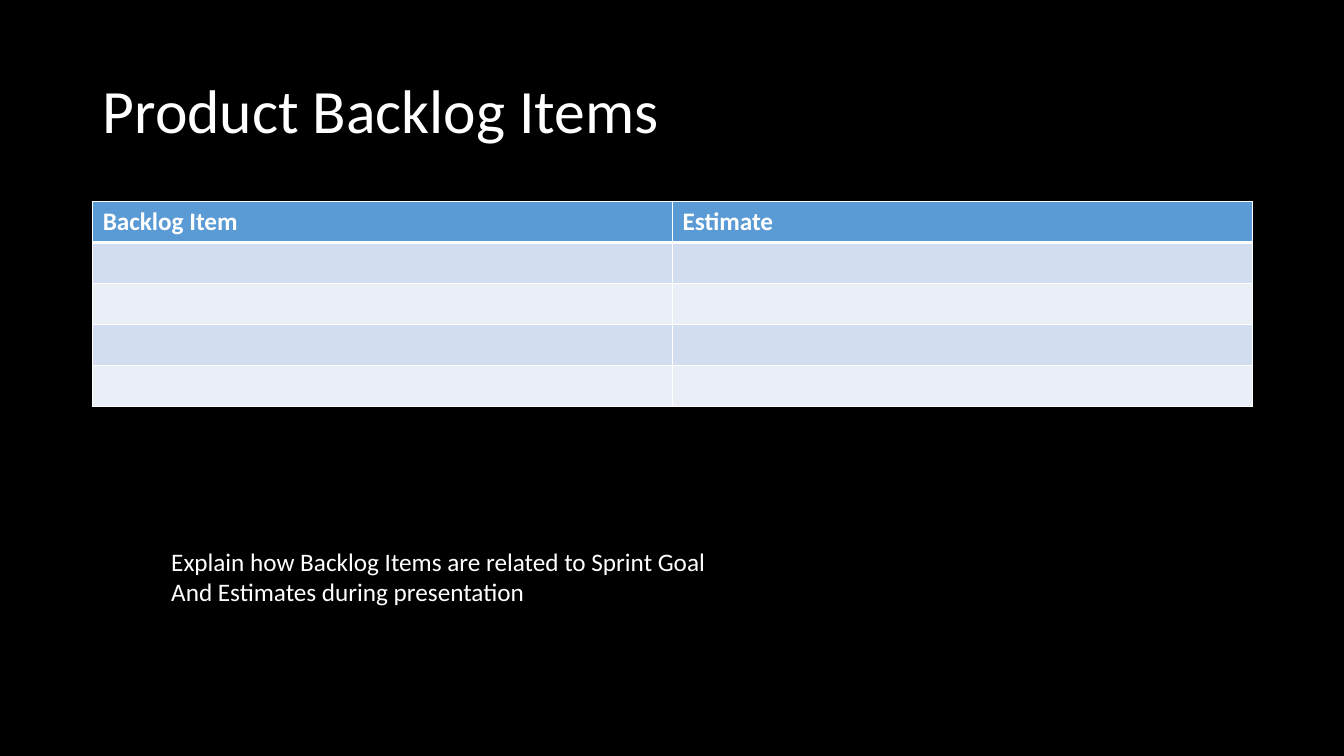
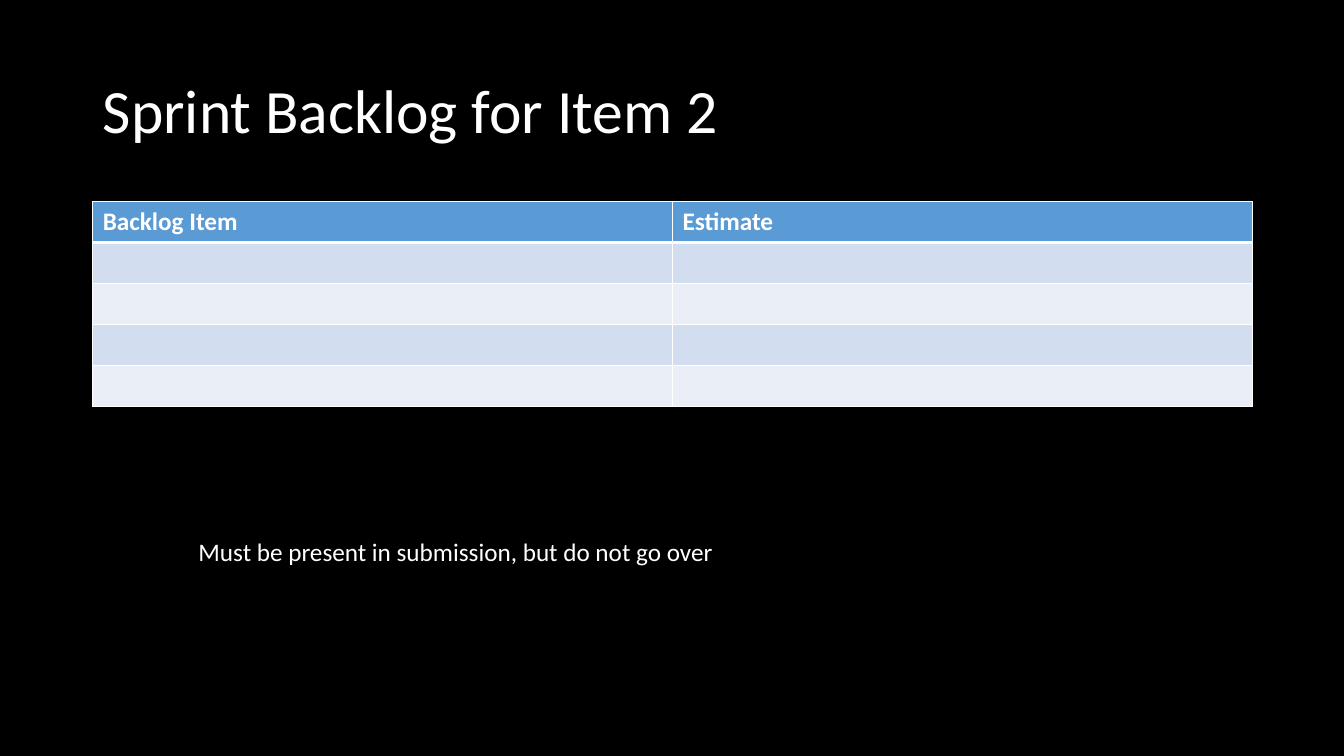
from dataclasses import dataclass

from lxml.etree import SubElement
from pptx import Presentation
from pptx.dml.color import RGBColor as RGB
from pptx.enum.text import MSO_ANCHOR as Anchor, MSO_AUTO_SIZE as AutoSize, PP_ALIGN as Align
from pptx.oxml.ns import qn
from pptx.slide import Slide
from pptx.table import _Cell as Cell
from pptx.text.text import _Paragraph as Paragraph
from pptx.util import Inches, Pt


@dataclass(frozen=True)
class Theme:
    font: str = "Calibri"
    title_size: int = 44
    body_size: int = 18
    background: str = "000000"
    text: str = "FFFFFF"
    border: str = "FFFFFF"
    header: str = "5B9BD5"
    bands: tuple[str, str] = ("D2DEEF", "EAEFF7")
    thin_border: int = 1
    thick_border: int = 3


@dataclass(frozen=True)
class Box:
    left: float
    top: float
    width: float
    height: float

    def lengths(self) -> tuple[Inches, Inches, Inches, Inches]:
        return Inches(self.left), Inches(self.top), Inches(self.width), Inches(self.height)


@dataclass(frozen=True)
class Note:
    box: Box
    lines: tuple[str, ...]
    wrap: bool


@dataclass(frozen=True)
class BacklogSlide:
    title: str
    note: Note


THEME = Theme()
TITLE_BOX = Box(0.92, 0.4, 11.5, 1.45)
TABLE_BOX = Box(0.92, 2, 11.5, 2.03)
HEADINGS = ("Backlog Item", "Estimate")
ROW_COUNT = 5
TITLE_ONLY = 5

BACKLOG_SLIDES = (
    BacklogSlide(
        "Product Backlog Items",
        Note(
            Box(1.6, 5.37, 5.67, 0.71),
            ("Explain how Backlog Items are related to Sprint Goal",
             "And Estimates during presentation"),
            wrap=True,
        ),
    ),
    BacklogSlide(
        "Sprint Backlog for Item 2",
        Note(
            Box(1.87, 5.27, 5.43, 0.4),
            ("Must be present in submission, but do not go over",),
            wrap=False,
        ),
    ),
)


def add_run(paragraph: Paragraph, text: str, size: int, bold: bool = False) -> None:
    run = paragraph.add_run()
    run.text = text
    run.font.name = THEME.font
    run.font.size = Pt(size)
    run.font.bold = bold
    run.font.color.rgb = RGB.from_string(THEME.text)


def add_title(slide: Slide, text: str) -> None:
    title = slide.shapes.title
    title.left, title.top, title.width, title.height = TITLE_BOX.lengths()
    frame = title.text_frame
    frame.word_wrap = True
    frame.auto_size = AutoSize.NONE
    frame.vertical_anchor = Anchor.MIDDLE
    heading = frame.paragraphs[0]
    heading.alignment = Align.LEFT
    heading.line_spacing = 0.9
    add_run(heading, text, THEME.title_size)


def set_borders(cell: Cell, top: int, bottom: int) -> None:
    properties = cell._tc.get_or_add_tcPr()
    widths = {"L": THEME.thin_border, "R": THEME.thin_border, "T": top, "B": bottom}
    for side, width in widths.items():
        line = SubElement(properties, qn(f"a:ln{side}"), w=str(Pt(width)))
        fill = SubElement(line, qn("a:solidFill"))
        SubElement(fill, qn("a:srgbClr"), val=THEME.border)


def add_backlog_table(slide: Slide) -> None:
    table = slide.shapes.add_table(ROW_COUNT, len(HEADINGS), *TABLE_BOX.lengths()).table
    for column in table.columns:
        column.width = Inches(TABLE_BOX.width / len(HEADINGS))
    for index, row in enumerate(table.rows):
        row.height = Inches(TABLE_BOX.height / ROW_COUNT)
        color = THEME.bands[(index - 1) % 2] if index else THEME.header
        # The heavy rule is shared by the header and the first band
        top = THEME.thick_border if index == 1 else THEME.thin_border
        bottom = THEME.thick_border if index == 0 else THEME.thin_border
        for cell in row.cells:
            set_borders(cell, top, bottom)
            cell.fill.solid()
            cell.fill.fore_color.rgb = RGB.from_string(color)
    for cell, heading in zip(table.rows[0].cells, HEADINGS):
        add_run(cell.text_frame.paragraphs[0], heading, THEME.body_size, bold=True)


def add_note(slide: Slide, note: Note) -> None:
    frame = slide.shapes.add_textbox(*note.box.lengths()).text_frame
    frame.word_wrap = note.wrap
    frame.auto_size = AutoSize.SHAPE_TO_FIT_TEXT
    for index, line in enumerate(note.lines):
        paragraph = frame.add_paragraph() if index else frame.paragraphs[0]
        add_run(paragraph, line, THEME.body_size)


# Shared page setup
deck = Presentation()
deck.slide_width, deck.slide_height = Inches(13.33), Inches(7.5)
backdrop = deck.slide_master.background.fill
backdrop.solid()
backdrop.fore_color.rgb = RGB.from_string(THEME.background)

# Slides
for content in BACKLOG_SLIDES:
    page = deck.slides.add_slide(deck.slide_layouts[TITLE_ONLY])
    add_title(page, content.title)
    add_backlog_table(page)
    add_note(page, content.note)

deck.save("out.pptx")
